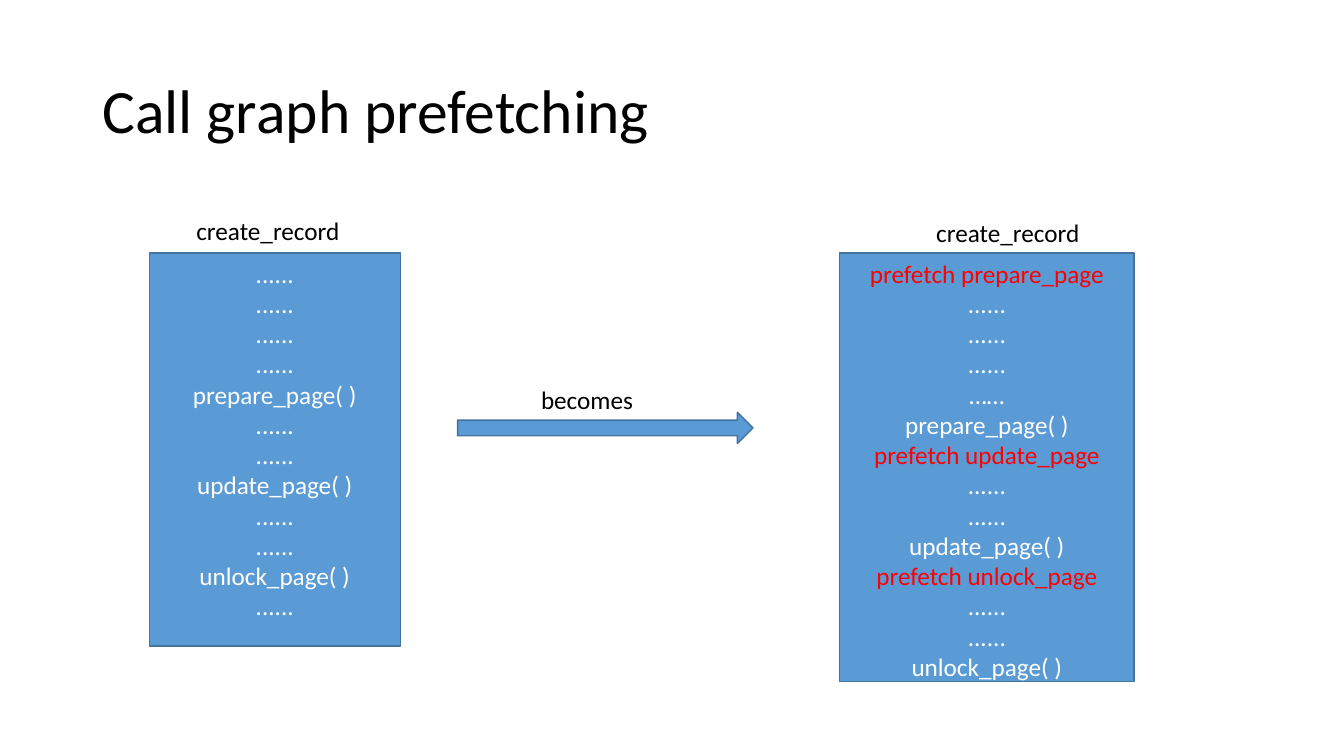
from dataclasses import dataclass

from pptx import Presentation
from pptx.dml.color import RGBColor
from pptx.enum.shapes import MSO_SHAPE
from pptx.enum.text import MSO_ANCHOR, MSO_AUTO_SIZE, PP_ALIGN
from pptx.util import Pt

RECTANGLE, RIGHT_ARROW = MSO_SHAPE.RECTANGLE, MSO_SHAPE.RIGHT_ARROW
TOP, MIDDLE = MSO_ANCHOR.TOP, MSO_ANCHOR.MIDDLE
NO_AUTOFIT, GROW = MSO_AUTO_SIZE.NONE, MSO_AUTO_SIZE.SHAPE_TO_FIT_TEXT
LEFT, CENTER = PP_ALIGN.LEFT, PP_ALIGN.CENTER
TITLE_ONLY = 5


@dataclass(frozen=True)
class Theme:
    font: str = "Calibri"
    title_size: int = 44
    body_size: int = 18
    text: RGBColor = RGBColor(0x00, 0x00, 0x00)
    code: RGBColor = RGBColor(0xFF, 0xFF, 0xFF)
    prefetch: RGBColor = RGBColor(0xFF, 0x00, 0x00)
    fill: RGBColor = RGBColor(0x5B, 0x9B, 0xD5)
    outline: RGBColor = RGBColor(0x43, 0x73, 0x9E)


THEME = Theme()

DOTS = "......"
CODE_BEFORE = [
    *[DOTS] * 4, "prepare_page( )",
    *[DOTS] * 2, "update_page( )",
    *[DOTS] * 2, "unlock_page( )",
    DOTS,
]
CODE_AFTER = [
    "prefetch prepare_page", *[DOTS] * 3, "……", "prepare_page( )",
    "prefetch update_page", *[DOTS] * 2, "update_page( )",
    "prefetch unlock_page", *[DOTS] * 2, "unlock_page( )",
]
CODE_TOP = 180.7


def style_paragraph(paragraph, size, color, alignment=LEFT):
    paragraph.alignment = alignment
    paragraph.font.name = THEME.font
    paragraph.font.size = Pt(size)
    paragraph.font.color.rgb = color


def set_title(slide, text):
    title = slide.shapes.title
    title.left, title.top = Pt(66), Pt(28.8)
    title.width, title.height = Pt(828), Pt(104.4)
    frame = title.text_frame
    frame.text = text
    frame.auto_size = NO_AUTOFIT
    frame.vertical_anchor = MIDDLE
    paragraph = frame.paragraphs[0]
    paragraph.line_spacing = 0.9
    style_paragraph(paragraph, THEME.title_size, THEME.text)


def add_filled_shape(slide, kind, left, top, width, height):
    shape = slide.shapes.add_shape(kind, Pt(left), Pt(top), Pt(width), Pt(height))
    shape.shadow.inherit = False
    shape.fill.solid()
    shape.fill.fore_color.rgb = THEME.fill
    shape.line.color.rgb = THEME.outline
    shape.line.width = Pt(1)
    return shape


def add_code_box(slide, lines, left, width, height):
    shape = add_filled_shape(slide, RECTANGLE, left, CODE_TOP, width, height)
    frame = shape.text_frame
    frame.word_wrap = True
    frame.vertical_anchor = TOP
    for index, line in enumerate(lines):
        paragraph = frame.add_paragraph() if index else frame.paragraphs[0]
        paragraph.text = line
        color = THEME.prefetch if line.startswith("prefetch") else THEME.code
        style_paragraph(paragraph, THEME.body_size, color, CENTER)


def add_label(slide, text, left, top, width):
    box = slide.shapes.add_textbox(Pt(left), Pt(top), Pt(width), Pt(28.8))
    frame = box.text_frame
    frame.text = text
    frame.word_wrap = False
    frame.auto_size = GROW
    style_paragraph(frame.paragraphs[0], THEME.body_size, THEME.text)


def main():
    presentation = Presentation()
    presentation.slide_width, presentation.slide_height = Pt(960), Pt(540)
    slide = presentation.slides.add_slide(presentation.slide_layouts[TITLE_ONLY])
    set_title(slide, "Call graph prefetching")

    # Function with prefetches inserted
    add_code_box(slide, CODE_AFTER, 599.8, 210.2, 306)
    add_label(slide, "create_record", 661.7, 151.5, 118.1)

    # Function before the change
    add_code_box(slide, CODE_BEFORE, 106.6, 179.3, 280.8)
    add_label(slide, "create_record", 133.2, 150.5, 118.1)

    # Transformation arrow
    add_filled_shape(slide, RIGHT_ARROW, 326.9, 294.5, 211, 22.3)
    add_label(slide, "becomes", 379.4, 270.9, 81.4)

    presentation.save("out.pptx")


if __name__ == "__main__":
    main()
